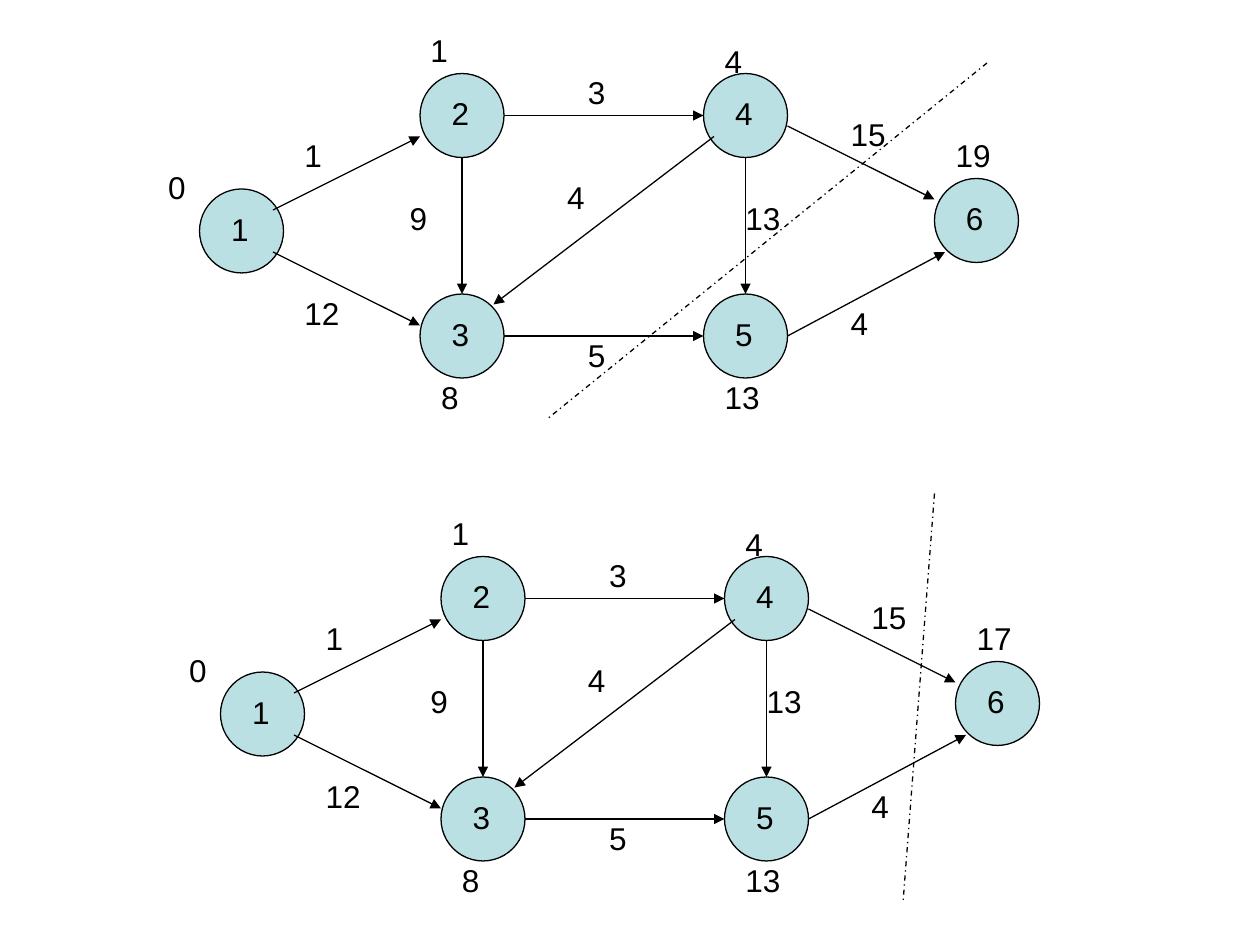
from pptx import Presentation
from pptx.dml.color import RGBColor
from pptx.enum.dml import MSO_LINE
from pptx.enum.shapes import MSO_CONNECTOR, MSO_SHAPE
from pptx.enum.text import MSO_AUTO_SIZE
from pptx.oxml.ns import qn
from pptx.util import Cm, Pt
from lxml.etree import SubElement

COLORS = {"node": "BBE0E3", "ink": "000000"}
GRID = 2.54 / 12  # all positions lie on a grid of twelve steps to the inch
NODE_SIZE = 8

# Left top corner of each node, in grid steps
NODES = {"1": (19, 18), "6": (89, 17), "5": (67, 28),
         "4": (67, 7), "3": (40, 28), "2": (40, 7)}

# Start, end, weight and the place of the weight
EDGES = [
    ((26, 20), (40, 13), "1", (29, 13)),
    ((26, 24), (40, 31), "12", (29, 28)),
    ((44, 15), (44, 28), "9", (39, 19)),
    ((48, 32), (67, 32), "5", (56, 32)),
    ((48, 11), (67, 11), "3", (56, 7)),
    ((68, 13), (47, 29), "4", (54, 17)),
    ((71, 15), (71, 28), "13", (71, 19)),
    ((75, 12), (89, 19), "15", (81, 11)),
    ((75, 32), (90, 24), "4", (81, 29)),
]

# Distances that are the same in both graphs, and the place of the last one
DISTANCES = [("4", (69, 4)), ("8", (42, 36)), ("1", (41, 3)),
             ("0", (16, 16)), ("13", (69, 36))]
LAST_DISTANCE = (91, 13)

# Offset of the graph, distance of node 6, ends of the cut line
GRAPHS = [
    ((0, 0), "19", ((94, 6), (52, 40))),
    ((2, 46), "17", ((87, 1), (84, 40))),
]


class GraphSlide:
    font_name = "Arial"
    font_size = Pt(18)
    line_width = Pt(0.75)

    def __init__(self, slide):
        self.slide = slide
        self.offset = (0, 0)

    def place(self, point):
        return [Cm((step + shift) * GRID) for step, shift in zip(point, self.offset)]

    def color(self, name):
        return RGBColor.from_string(COLORS[name])

    def style_line(self, line):
        line.color.rgb = self.color("ink")
        line.width = self.line_width

    def label(self, text, point, width=4, shapes=None):
        shapes = self.slide.shapes if shapes is None else shapes
        box = shapes.add_textbox(*self.place(point), Cm(width * GRID), Cm(0.76))
        frame = box.text_frame
        frame.margin_left = frame.margin_right = 0
        frame.margin_top = frame.margin_bottom = 0
        frame.word_wrap = True
        frame.auto_size = MSO_AUTO_SIZE.SHAPE_TO_FIT_TEXT
        paragraph = frame.paragraphs[0]
        paragraph.text = text
        paragraph.font.name = self.font_name
        paragraph.font.size = self.font_size
        paragraph.font.color.rgb = self.color("ink")

    def node(self, text, point):
        group = self.slide.shapes.add_group_shape()
        size = Cm(NODE_SIZE * GRID)
        circle = group.shapes.add_shape(MSO_SHAPE.OVAL, *self.place(point), size, size)
        circle.shadow.inherit = False
        circle.fill.solid()
        circle.fill.fore_color.rgb = self.color("node")
        self.style_line(circle.line)
        self.label(text, (point[0] + 3, point[1] + 2), 2, group.shapes)

    def line(self, start, end):
        connector = self.slide.shapes.add_connector(
            MSO_CONNECTOR.STRAIGHT, *self.place(start), *self.place(end))
        self.style_line(connector.line)
        SubElement(connector._element.spPr, qn("a:effectLst"))
        return connector

    def arrow(self, start, end):
        line = self.line(start, end).line
        SubElement(line._get_or_add_ln(), qn("a:tailEnd"), type="triangle")

    def cut(self, start, end):
        self.line(start, end).line.dash_style = MSO_LINE.DASH_DOT

    def graph(self, offset, last_distance, cut_ends):
        self.offset = offset
        for name, point in NODES.items():
            self.node(name, point)
        for start, end, _, _ in EDGES:
            self.arrow(start, end)
        # Edge weights and node distances
        for _, _, weight, point in EDGES:
            self.label(weight, point)
        for distance, point in DISTANCES + [(last_distance, LAST_DISTANCE)]:
            self.label(distance, point)
        self.cut(*cut_ends)


def main():
    presentation = Presentation()
    presentation.slide_width = Cm(25.4)
    presentation.slide_height = Cm(19.05)
    blank_layout = presentation.slide_layouts[6]
    graph_slide = GraphSlide(presentation.slides.add_slide(blank_layout))
    for offset, last_distance, cut_ends in GRAPHS:
        graph_slide.graph(offset, last_distance, cut_ends)
    presentation.save("out.pptx")


if __name__ == "__main__":
    main()
